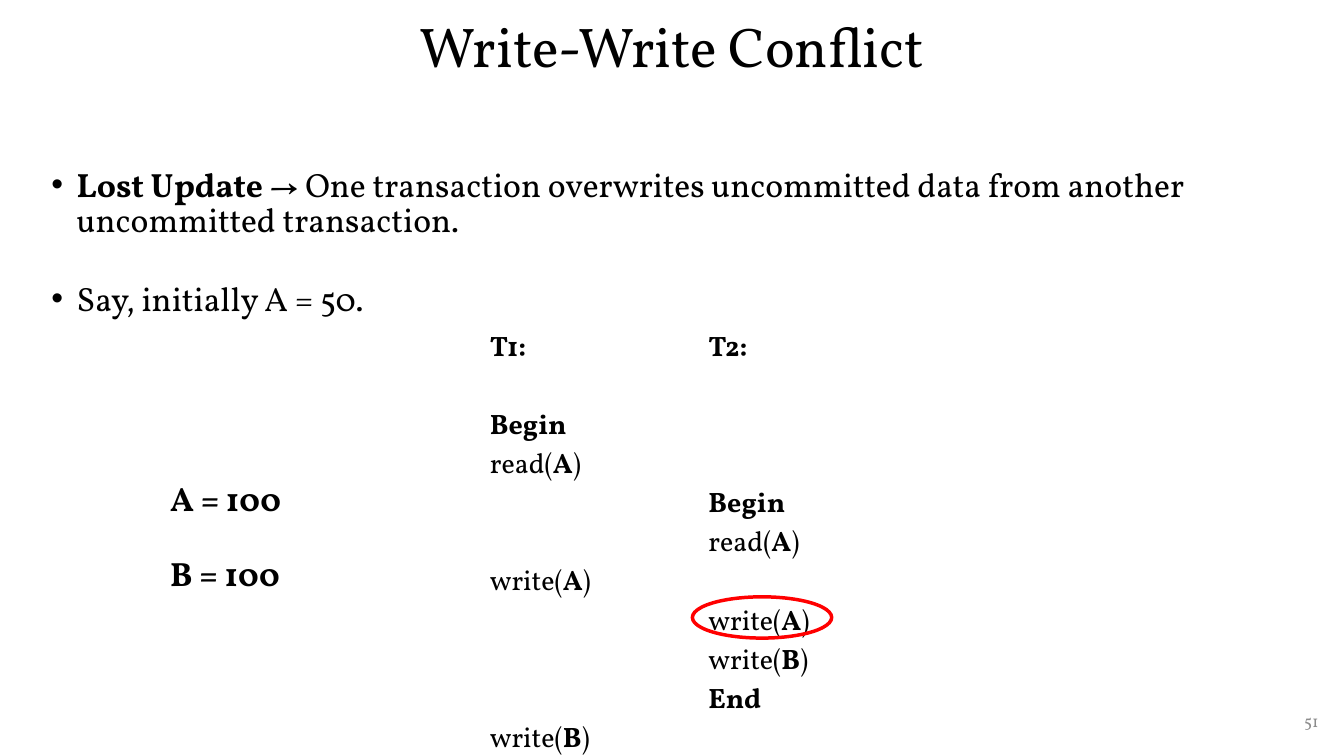
import pptx
import pptx.dml.color
import pptx.enum.shapes
import pptx.enum.text
import pptx.oxml.ns
import pptx.util
from lxml import etree

Cm, Pt = pptx.util.Cm, pptx.util.Pt
Align, Anchor = pptx.enum.text.PP_ALIGN, pptx.enum.text.MSO_ANCHOR
Fit = pptx.enum.text.MSO_AUTO_SIZE
qn = pptx.oxml.ns.qn


class Theme:
    font = "Vollkorn"
    ink = pptx.dml.color.RGBColor(0x00, 0x00, 0x00)
    grey = pptx.dml.color.RGBColor(0x8C, 0x8C, 0x8C)
    red = pptx.dml.color.RGBColor(0xFF, 0x00, 0x00)
    title, body, step, number = Pt(40), Pt(24), Pt(20), Pt(12)
    step_pitch = 27.9  # points from one schedule line to the next
    no_grid = "{2D5ABB26-0587-4C30-8999-92F81FD0307C}"


# Steps of each transaction: (time slot, text with *bold* parts)
SCHEDULE = [
    [(0, "*T1:*"), (2, "*Begin*"), (3, "read(*A*)"), (6, "write(*A*)"),
     (10, "write(*B*)")],
    [(0, "*T2:*"), (4, "*Begin*"), (5, "read(*A*)"), (7, "write(*A*)"),
     (8, "write(*B*)"), (9, "*End*")],
]


def apply(target, values):
    for name, value in values.items():
        setattr(target, name, value)


def write(para, text, size, color=Theme.ink):
    """Fill a paragraph; parts between asterisks are bold."""
    for index, part in enumerate(text.split("*")):
        if part:
            span = para.add_run()
            span.text = part
            apply(span.font, {"name": Theme.font, "size": size,
                              "bold": index % 2 == 1})
            span.font.color.rgb = color


def add_para(frame, index):
    return frame.paragraphs[0] if index == 0 else frame.add_paragraph()


def place(shape, box):
    apply(shape, dict(zip(("left", "top", "width", "height"), box)))


def add_title(slide, box, text):
    title = slide.shapes.title
    place(title, box)
    apply(title.text_frame, {"vertical_anchor": Anchor.MIDDLE,
                             "auto_size": Fit.NONE, "word_wrap": True})
    para = title.text_frame.paragraphs[0]
    apply(para, {"alignment": Align.CENTER, "line_spacing": 0.9})
    write(para, text, Theme.title)


def add_bullets(slide, box, items):
    body = slide.placeholders[1]
    place(body, box)
    apply(body.text_frame, {"vertical_anchor": Anchor.TOP, "word_wrap": True,
                            "auto_size": Fit.NONE, "margin_top": Cm(0.31)})
    for index, text in enumerate(items):
        para = add_para(body.text_frame, index)
        props = para._p.get_or_add_pPr()
        props.set("marL", str(Cm(0.64)))
        props.set("indent", str(-Cm(0.64)))
        etree.SubElement(props, qn("a:buChar")).set("char", "•")
        apply(para, {"line_spacing": 0.88,
                     "space_before": Pt(31 if index else 0)})
        write(para, text, Theme.body)


def add_schedule(slide, box, widths):
    table = slide.shapes.add_table(1, len(widths), *box).table
    apply(table, {"first_row": False, "horz_banding": False})
    table._tbl.tblPr.find(qn("a:tableStyleId")).text = Theme.no_grid
    for column, width, steps in zip(range(len(widths)), widths, SCHEDULE):
        table.columns[column].width = width
        cell = table.cell(0, column)
        cell.fill.background()
        cell.margin_bottom = 0
        previous = -1
        for index, (slot, text) in enumerate(steps):
            para = add_para(cell.text_frame, index)
            idle = slot - previous - 1
            para.space_before = Pt(round(idle * Theme.step_pitch, 1))
            write(para, text, Theme.step)
            previous = slot


def add_highlight(slide, box):
    ring = slide.shapes.add_shape(pptx.enum.shapes.MSO_SHAPE.OVAL, *box)
    ring.shadow.inherit = False
    ring.fill.background()
    ring.line.color.rgb = Theme.red
    ring.line.width = Pt(2.5)


def add_values(slide, box, values):
    frame = slide.shapes.add_textbox(*box).text_frame
    frame.word_wrap = True
    for index, text in enumerate(values):
        para = add_para(frame, index)
        para.space_before = Pt(25 if index else 0)
        write(para, text, Theme.body)


def add_page_number(slide, box, text):
    frame = slide.shapes.add_textbox(*box).text_frame
    apply(frame, {"word_wrap": True, "vertical_anchor": Anchor.MIDDLE})
    frame.paragraphs[0].alignment = Align.RIGHT
    write(frame.paragraphs[0], text, Theme.number, Theme.grey)


def main():
    deck = pptx.Presentation()
    deck.slide_width, deck.slide_height = Cm(33.87), Cm(19.05)
    slide = deck.slides.add_slide(deck.slide_layouts[1])

    # Heading and explanation
    add_title(slide, (Cm(2.33), Cm(0), Cm(29.21), Cm(2.51)),
              "Write-Write Conflict")
    add_page_number(slide, (Cm(25.86), Cm(17.65), Cm(7.62), Cm(1.02)), "51")
    add_bullets(slide, (Cm(1.04), Cm(3.94), Cm(32.82), Cm(4.57)), [
        "*Lost Update *→ One transaction overwrites uncommitted data "
        "from another uncommitted transaction.",
        "Say, initially A = 50.",
    ])

    # Schedule with the conflicting write ringed
    add_schedule(slide, (Cm(12.09), Cm(8.18), Cm(10.72), Cm(10.67)),
                 (Cm(5.51), Cm(5.21)))
    add_highlight(slide, (Cm(17.45), Cm(15.04), Cm(3.51), Cm(1.04)))
    add_values(slide, (Cm(4.04), Cm(11.91), Cm(6.83), Cm(3.33)),
               ["*A = 100*", "*B = 100*"])

    deck.save("out.pptx")


if __name__ == "__main__":
    main()
